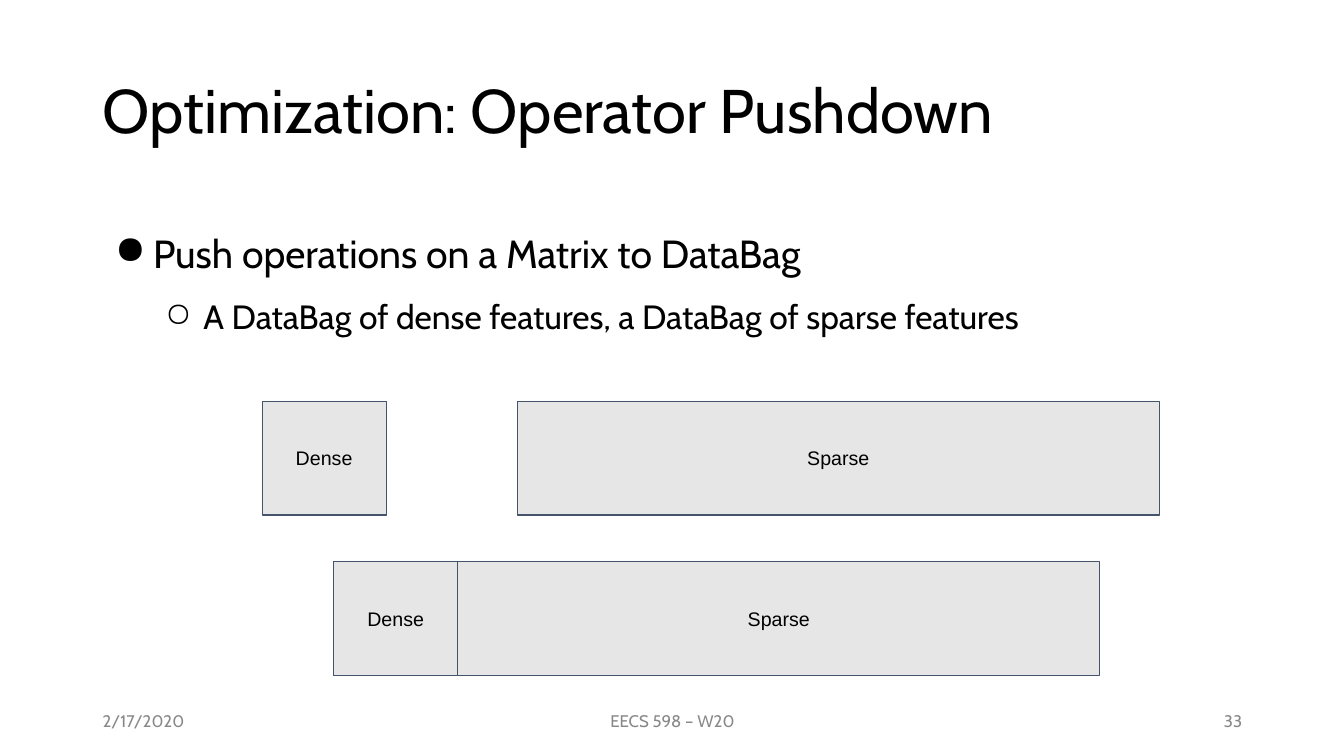
from lxml.etree import SubElement
from pptx import Presentation
from pptx.dml.color import RGBColor
from pptx.enum.shapes import MSO_SHAPE as Shape
from pptx.enum.text import MSO_ANCHOR as Anchor, PP_ALIGN as Align
from pptx.oxml.ns import qn
from pptx.util import Inches, Pt

BLACK = RGBColor(0x00, 0x00, 0x00)
GRAY = RGBColor(0x88, 0x88, 0x88)
PALE = RGBColor(0xE7, 0xE6, 0xE6)
SLATE = RGBColor(0x44, 0x54, 0x6A)

WIDE, HIGH = 13.33, 7.5
LEFT, SPAN = 0.92, 11.5
DENSE, SPARSE, TALL = 1.23, 6.37, 1.13


def style(par, size, color=BLACK, face="Cabin"):
    font = par.font
    font.size, font.name = Pt(size), face
    font.color.rgb = color


def text_box(slide, box, anchor=Anchor.MIDDLE):
    frame = slide.shapes.add_textbox(*map(Inches, box)).text_frame
    frame.word_wrap = True
    frame.vertical_anchor = anchor
    return frame


def add_title(slide, box, text):
    frame = text_box(slide, box)
    frame.text = text
    par = frame.paragraphs[0]
    par.line_spacing = 0.9
    style(par, 44)


def add_list(slide, box, items):
    """Place bulleted items given as (text, level, mark, size)."""
    frame = text_box(slide, box, Anchor.TOP)
    for i, (text, level, mark, size) in enumerate(items):
        par = frame.add_paragraph() if i else frame.paragraphs[0]
        par.text = text
        par.level = level
        par.line_spacing = 1.5
        props = par._p.get_or_add_pPr()
        props.set("marL", str(Inches(0.5 * (level + 1))))
        props.set("indent", str(Inches(-0.38)))
        tint = SubElement(props, qn("a:buClr"))
        SubElement(tint, qn("a:srgbClr"), val=str(BLACK))
        SubElement(props, qn("a:buChar"), char=mark)
        style(par, size)


def add_block(shapes, box, text):
    block = shapes.add_shape(Shape.RECTANGLE, *map(Inches, box))
    block.shadow.inherit = False
    block.fill.solid()
    block.fill.fore_color.rgb = PALE
    block.line.color.rgb = SLATE
    block.line.width = Pt(0.75)
    frame = block.text_frame
    frame.vertical_anchor = Anchor.MIDDLE
    frame.text = text
    par = frame.paragraphs[0]
    par.alignment = Align.CENTER
    style(par, 14, face="Arial")


def add_pair(shapes, left, top, gap=0):
    """Place a dense block and a sparse block side by side."""
    add_block(shapes, (left, top, DENSE, TALL), "Dense")
    add_block(shapes, (left + DENSE + gap, top, SPARSE, TALL), "Sparse")


def add_footer(slide, left, top, width):
    side, mid = 3, 4.5
    parts = (
        ("2/17/2020", left, side, Align.LEFT),
        ("EECS 598 – W20", left + (width - mid) / 2, mid, Align.CENTER),
        ("33", left + width - side, side, Align.RIGHT),
    )
    for text, x, span, align in parts:
        frame = text_box(slide, (x, top, span, 0.4))
        frame.text = text
        par = frame.paragraphs[0]
        par.alignment = align
        style(par, 12, GRAY)


def main():
    deck = Presentation()
    deck.slide_width, deck.slide_height = Inches(WIDE), Inches(HIGH)
    slide = deck.slides.add_slide(deck.slide_layouts[6])
    add_footer(slide, LEFT, 6.95, SPAN)
    add_title(slide, (LEFT, 0.4, SPAN, 1.45), "Optimization: Operator Pushdown")
    add_list(slide, (LEFT, 1.99, SPAN, 5.1), (
        ("Push operations on a Matrix to DataBag", 0, "●", 28),
        ("A DataBag of dense features, a DataBag of sparse features", 1, "○", 24),
    ))
    add_pair(slide.shapes, 2.6, 3.98, gap=1.3)
    add_pair(slide.shapes.add_group_shape().shapes, 3.31, 5.57)
    deck.save("out.pptx")


if __name__ == "__main__":
    main()
